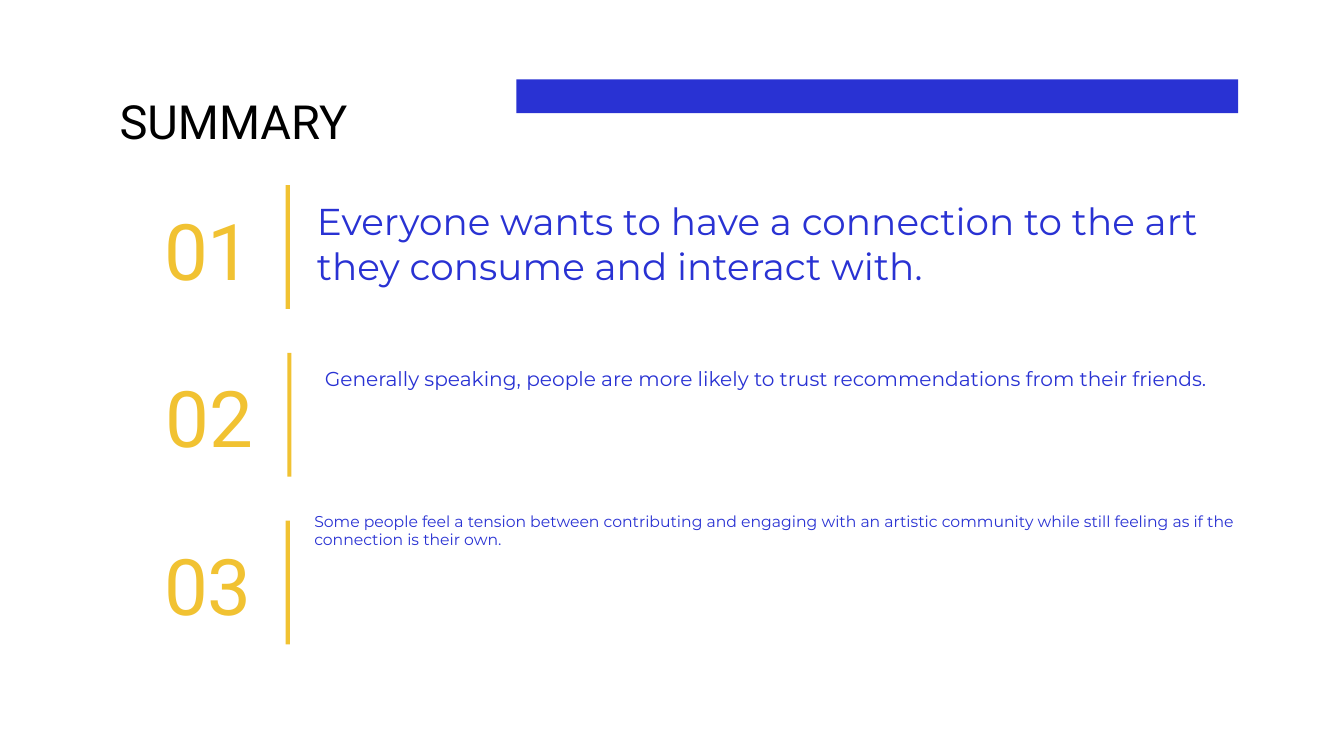
from lxml import etree
from pptx import Presentation
from pptx import util as u
from pptx.dml.color import RGBColor
from pptx.enum import shapes, text
from pptx.oxml import ns

HUES = {"blue": "2932D3", "gold": "F1C232", "black": "000000"}
HEAD, BODY = "Roboto", "Montserrat"


class Deck:
    """Holds the style and the current slide, and adds each kind of element."""

    def __init__(self, wide, high):
        self.prs = Presentation()
        self.prs.slide_width, self.prs.slide_height = u.Cm(wide), u.Cm(high)
        self.slide = self.prs.slides.add_slide(self.prs.slide_layouts[1])

    def bar(self, box, hue):
        shape = self.slide.shapes.add_shape(
            shapes.MSO_SHAPE.RECTANGLE, *map(u.Cm, box))
        shape.shadow.inherit = False
        shape.fill.solid()
        shape.fill.fore_color.rgb = RGBColor.from_string(HUES[hue])
        shape.line.fill.background()

    def letter(self, shape, words, face, size, hue,
               align=text.PP_ALIGN.LEFT, anchor=text.MSO_ANCHOR.TOP):
        frame = shape.text_frame
        frame.word_wrap = True
        frame.auto_size = text.MSO_AUTO_SIZE.NONE
        frame.vertical_anchor = anchor
        frame.margin_left = frame.margin_right = u.Cm(0.25)
        frame.margin_top = frame.margin_bottom = u.Cm(0.25)
        frame.text = words
        para = frame.paragraphs[0]
        para.alignment = align
        para.space_before = u.Pt(0)
        if shape.is_placeholder:
            props = para._p.get_or_add_pPr()
            props.set("marL", "0")
            props.set("indent", "0")
            etree.SubElement(props, ns.qn("a:buNone"))
        para.font.name, para.font.size = face, u.Pt(size)
        para.font.color.rgb = RGBColor.from_string(HUES[hue])

    def label(self, box, *style, **place):
        shape = self.slide.shapes.add_textbox(*map(u.Cm, box))
        self.letter(shape, *style, **place)

    def holder(self, spot, box, *style):
        shape = self.slide.placeholders[spot]
        shape.left, shape.top, shape.width, shape.height = map(u.Cm, box)
        self.letter(shape, *style)


def main():
    deck = Deck(25.4, 14.29)
    deck.bar((9.76, 1.5, 13.64, 0.64), "blue")
    deck.holder(0, (2.01, 1.5, 8.3, 1.6), "SUMMARY", HEAD, 25.2, "black")

    first, step, high = 3.5, 3.17, 2.34
    for row, shift in enumerate((0, 0.03, 0)):
        top = first + row * step
        deck.label((2.44 + shift, top, 2.57, high), f"{row + 1:02}",
                   HEAD, 41.8, "gold", align=text.PP_ALIGN.RIGHT,
                   anchor=text.MSO_ANCHOR.BOTTOM)
        deck.bar((5.4 + shift, top, 0.08, high), "gold")

    deck.holder(1, (5.74, first, 17.32, high),
                "Everyone wants to have a connection to the art they "
                "consume and interact with.", BODY, 20, "blue")
    deck.label((5.89, first + step, 17.32, 0.94),
               "Generally speaking, people are more likely to trust "
               "recommendations from their friends.", BODY, 10.8, "blue")
    deck.label((5.69, 9.42, 19.05, 0.94),
               "Some people feel a tension between contributing and engaging "
               "with an artistic community while still feeling as if the "
               "connection is their own.", BODY, 8.4, "blue")
    deck.prs.save("out.pptx")


if __name__ == "__main__":
    main()
